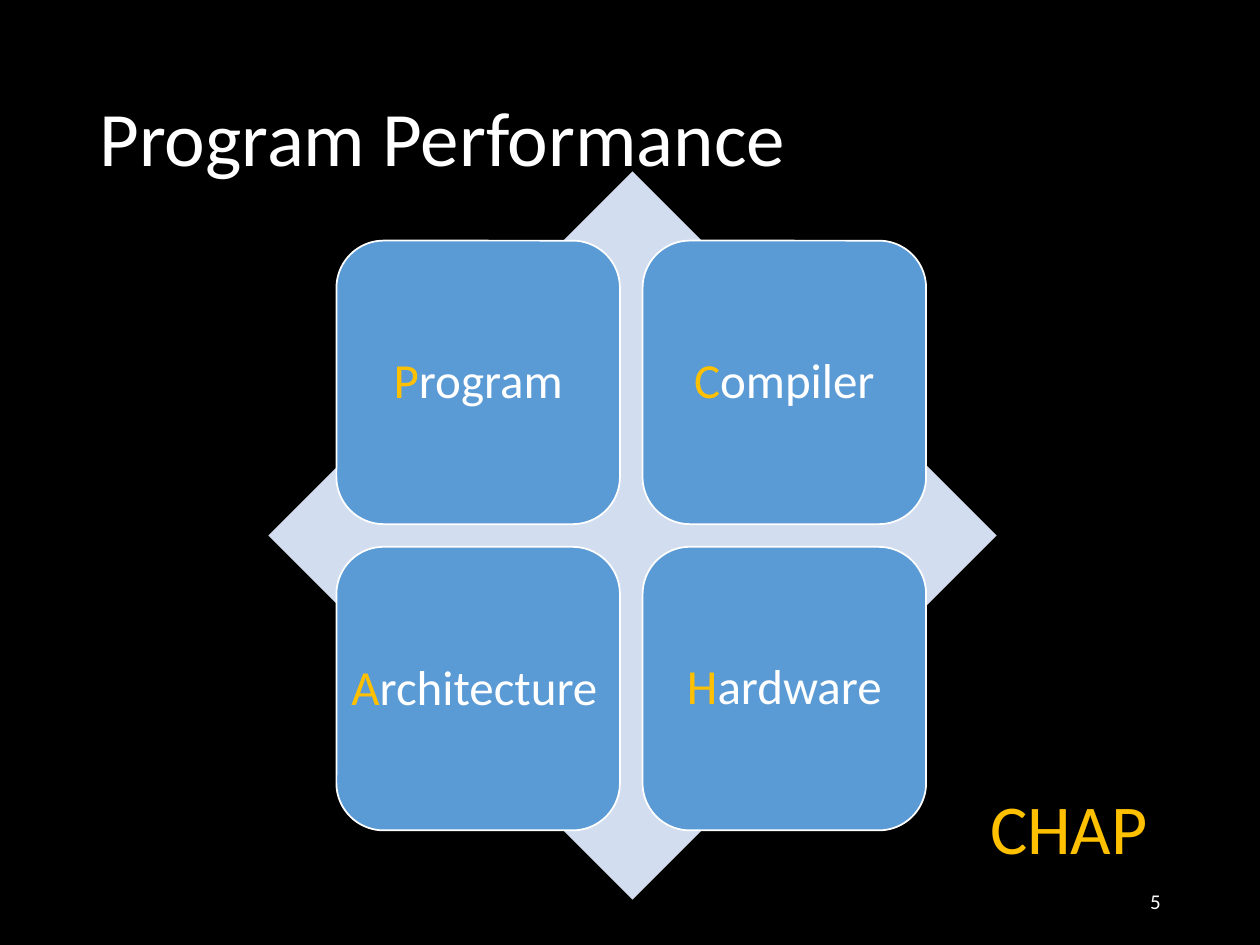
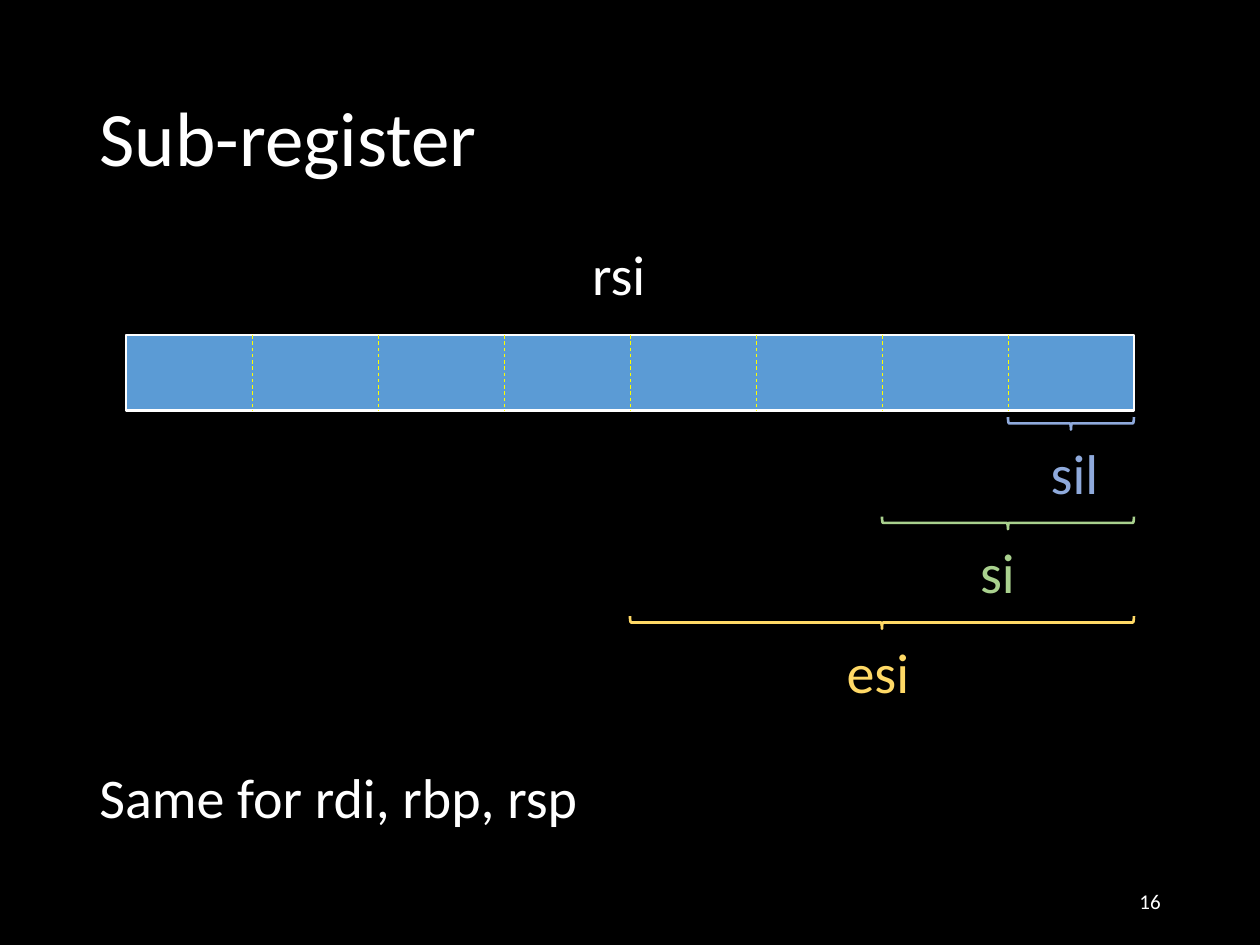
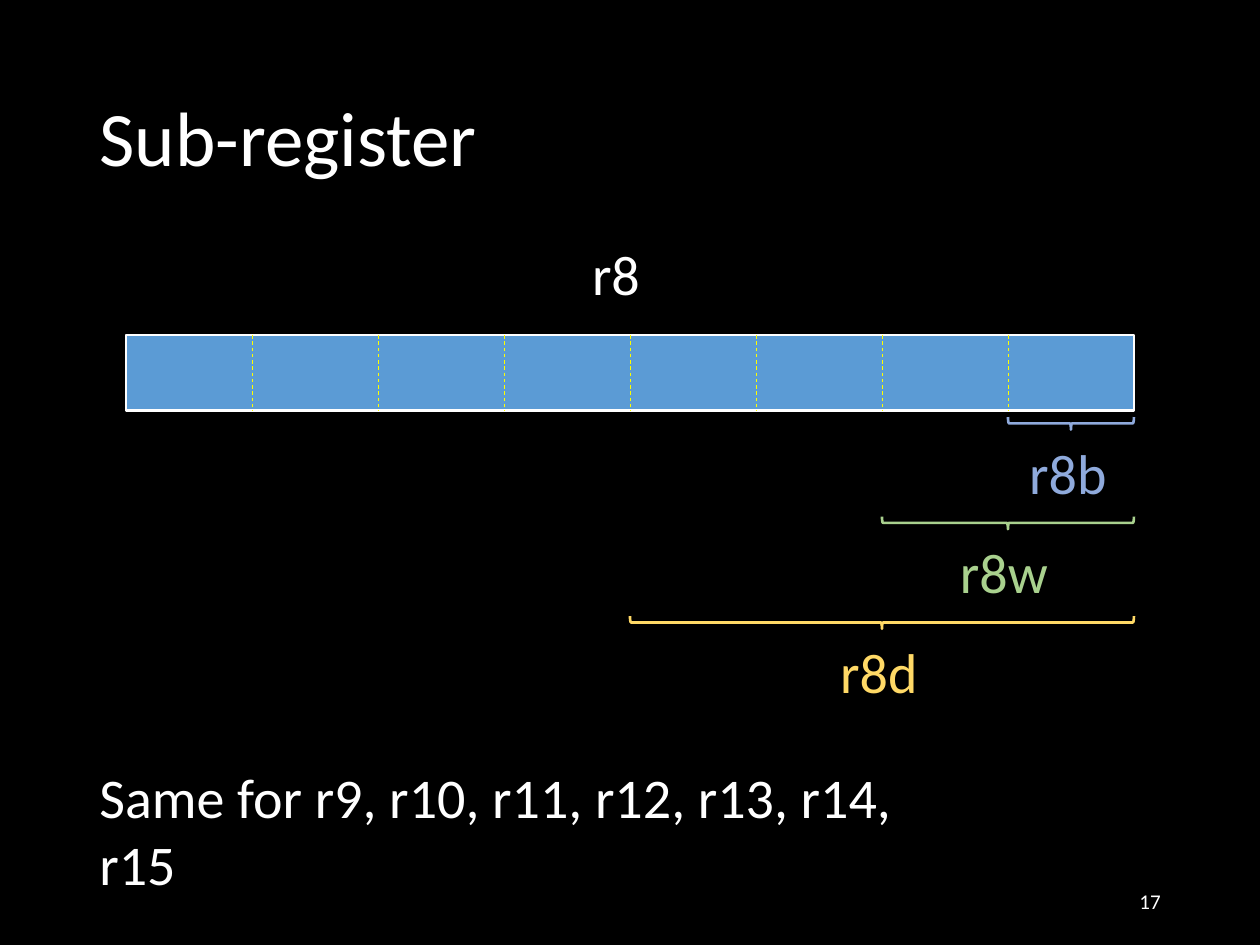
from lxml.etree import SubElement
from pptx import Presentation
from pptx.dml.color import RGBColor
from pptx.enum.dml import MSO_LINE
from pptx.enum.shapes import MSO_CONNECTOR, MSO_SHAPE
from pptx.enum.text import MSO_ANCHOR, MSO_AUTO_SIZE, PP_ALIGN
from pptx.oxml.ns import qn
from pptx.util import Inches, Pt

BLACK = RGBColor(0x00, 0x00, 0x00)
WHITE = RGBColor(0xFF, 0xFF, 0xFF)
GOLD = RGBColor(0xFF, 0xC0, 0x00)
BLUE = RGBColor(0x5B, 0x9B, 0xD5)
PALE_BLUE = RGBColor(0xD2, 0xDE, 0xEF)
DIVIDER_YELLOW = RGBColor(0xFF, 0xFF, 0x00)
BYTE_BLUE = RGBColor(0x8F, 0xAA, 0xDC)
WORD_GREEN = RGBColor(0xA9, 0xD1, 0x8E)
DOUBLE_YELLOW = RGBColor(0xFF, 0xD9, 0x66)

FONT = "Calibri"
BAR_LEFT, BAR_TOP, BAR_HEIGHT = 1, 2.66, 0.6
BYTE_COUNT, BYTE_WIDTH = 8, 1
BAR_RIGHT = BAR_LEFT + BYTE_COUNT * BYTE_WIDTH
SPANS = [(1, BYTE_BLUE), (2, WORD_GREEN), (4, DOUBLE_YELLOW)]
BRACE_DEPTH, BRACE_MIDDLE, BRACE_STEP = 0.1, 3.36, 0.79
LABEL_GAP, LABEL_HEIGHT = 0.07, 0.64


def box(left, top, width, height):
    return [Inches(length) for length in (left, top, width, height)]


def add_run(paragraph, text, size, color):
    run = paragraph.add_run()
    run.text = text
    run.font.name = FONT
    run.font.size = Pt(size)
    run.font.color.rgb = color


def add_initial_word(paragraph, word):
    add_run(paragraph, word[0], 28, GOLD)
    add_run(paragraph, word[1:], 28, WHITE)


def add_label_frame(slide, place, wrap=False):
    frame = slide.shapes.add_textbox(*box(*place)).text_frame
    frame.word_wrap = wrap
    frame.auto_size = MSO_AUTO_SIZE.SHAPE_TO_FIT_TEXT
    return frame


def add_label(slide, text, place, size=32, color=WHITE, wrap=False):
    frame = add_label_frame(slide, place, wrap)
    add_run(frame.paragraphs[0], text, size, color)


def add_figure(slide, kind, place, fill=None, line=None, line_width=1):
    figure = slide.shapes.add_shape(kind, *box(*place))
    figure.shadow.inherit = False
    if fill is None:
        figure.fill.background()
    else:
        figure.fill.solid()
        figure.fill.fore_color.rgb = fill
    if line is None:
        figure.line.fill.background()
    else:
        figure.line.color.rgb = line
        figure.line.width = Pt(line_width)
    return figure


def set_up_theme(deck):
    background = deck.slide_master.background.fill
    background.solid()
    background.fore_color.rgb = BLACK
    layout = deck.slide_layouts.get_by_name("Title Only")
    title = layout.placeholders[0]
    title.left, title.top, title.width, title.height = box(0.69, 0.4, 8.62, 1.45)
    return layout


def add_titled_slide(deck, layout, title, number):
    slide = deck.slides.add_slide(layout)
    heading = slide.shapes.title.text_frame
    heading.vertical_anchor = MSO_ANCHOR.MIDDLE
    paragraph = heading.paragraphs[0]
    paragraph.alignment = PP_ALIGN.LEFT
    paragraph.line_spacing = 0.9
    add_run(paragraph, title, 44, WHITE)

    page = slide.shapes.add_textbox(*box(7.06, 6.95, 2.25, 0.4)).text_frame
    page.word_wrap = True
    page.vertical_anchor = MSO_ANCHOR.MIDDLE
    page.paragraphs[0].alignment = PP_ALIGN.RIGHT
    add_run(page.paragraphs[0], str(number), 12, WHITE)
    return slide


def add_factor_tile(slide, row, column, word=None):
    size, pitch = 2.25, 2.43
    place = (2.67 + column * pitch, 1.91 + row * pitch, size, size)
    tile = add_figure(slide, MSO_SHAPE.ROUNDED_RECTANGLE, place, BLUE, WHITE)
    if word:
        frame = tile.text_frame
        frame.margin_left = frame.margin_right = Inches(0.12)
        frame.margin_top = frame.margin_bottom = Inches(0.12)
        frame.word_wrap = True
        frame.vertical_anchor = MSO_ANCHOR.MIDDLE
        paragraph = frame.paragraphs[0]
        paragraph.alignment = PP_ALIGN.CENTER
        paragraph.line_spacing = 0.9
        add_initial_word(paragraph, word)


def add_performance_matrix(slide):
    add_label(slide, "CHAP", (7.76, 6.18, 1.55, 0.77), 40, GOLD, wrap=True)
    add_figure(slide, MSO_SHAPE.DIAMOND, (2.13, 1.36, 5.78, 5.78), PALE_BLUE)
    add_factor_tile(slide, 0, 0, "Program")
    add_factor_tile(slide, 0, 1, "Compiler")
    add_factor_tile(slide, 1, 0)
    add_factor_tile(slide, 1, 1, "Hardware")
    architecture = add_label_frame(slide, (2.69, 5.16, 2.22, 0.57))
    add_initial_word(architecture.paragraphs[0], "Architecture")


def add_register_bar(slide):
    width = BYTE_COUNT * BYTE_WIDTH
    place = (BAR_LEFT, BAR_TOP, width, BAR_HEIGHT)
    bar = add_figure(slide, MSO_SHAPE.RECTANGLE, place, BLUE, WHITE, 1.5)
    for index in range(1, BYTE_COUNT):
        x = Inches(BAR_LEFT + index * BYTE_WIDTH)
        divider = slide.shapes.add_connector(
            MSO_CONNECTOR.STRAIGHT, x, Inches(BAR_TOP), x, Inches(BAR_TOP + BAR_HEIGHT)
        )
        divider.line.color.rgb = DIVIDER_YELLOW
        divider.line.width = Pt(0.5)
        divider.line.dash_style = MSO_LINE.DASH
        SubElement(divider._element.spPr, qn("a:effectLst"))
        if index * 2 == BYTE_COUNT:
            divider.begin_connect(bar, 0)
            divider.end_connect(bar, 2)


def add_register_map(slide, register, register_width, parts):
    add_register_bar(slide)
    add_label(slide, register, (4.6, 1.85, register_width, LABEL_HEIGHT))
    for row, ((span, color), (name, left, width)) in enumerate(zip(SPANS, parts)):
        middle = BRACE_MIDDLE + row * BRACE_STEP
        length = span * BYTE_WIDTH
        place = (
            BAR_RIGHT - length / 2 - BRACE_DEPTH / 2,
            middle - length / 2,
            BRACE_DEPTH,
            length,
        )
        brace = add_figure(slide, MSO_SHAPE.LEFT_BRACE, place, None, color, 1.5)
        brace.rotation = 270
        label_place = (left, middle + LABEL_GAP, width, LABEL_HEIGHT)
        add_label(slide, name, label_place, color=color)


def main():
    deck = Presentation()
    deck.slide_width, deck.slide_height = Inches(10), Inches(7.5)
    layout = set_up_theme(deck)

    performance = add_titled_slide(deck, layout, "Program Performance", 5)
    add_performance_matrix(performance)

    rsi = add_titled_slide(deck, layout, "Sub-register", 16)
    rsi_parts = [("sil", 8.24, 0.59), ("si", 7.68, 0.49), ("esi", 6.62, 0.72)]
    add_register_map(rsi, "rsi", 0.65, rsi_parts)
    add_label(rsi, "Same for rdi, rbp, rsp", (0.69, 6, 4.25, LABEL_HEIGHT))

    r8 = add_titled_slide(deck, layout, "Sub-register", 17)
    r8_parts = [("r8b", 8.07, 0.86), ("r8w", 7.52, 0.95), ("r8d", 6.57, 0.86)]
    add_register_map(r8, "r8", 0.61, r8_parts)
    r8_family = "Same for r9, r10, r11, r12, r13, r14, r15"
    add_label(r8, r8_family, (0.69, 6, 6.88, LABEL_HEIGHT), wrap=True)

    deck.save("out.pptx")


if __name__ == "__main__":
    main()
